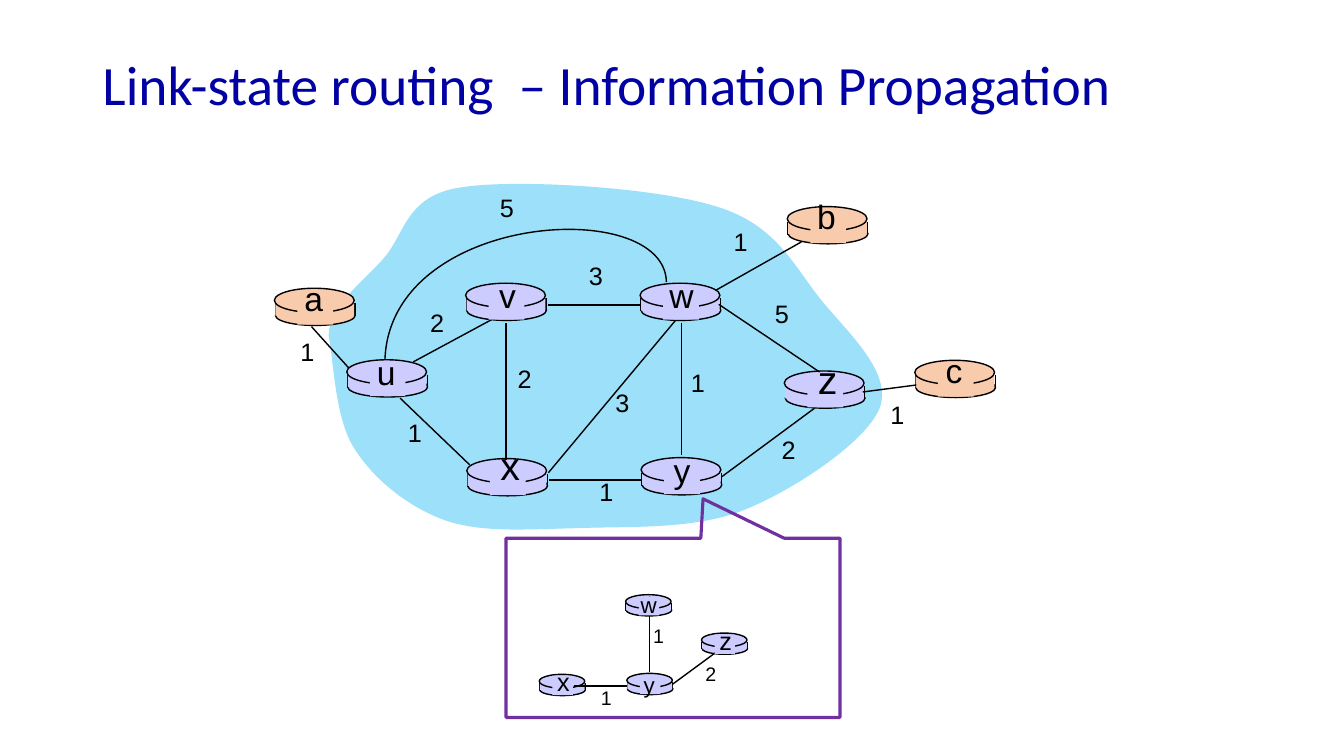
from pptx import Presentation
from pptx.dml.color import RGBColor
from pptx.enum.shapes import MSO_CONNECTOR as CONN, MSO_SHAPE as SHAPE
from pptx.enum.text import MSO_ANCHOR as ANCHOR, MSO_AUTO_SIZE as AUTO, PP_ALIGN as ALIGN
from pptx.oxml.ns import qn
from pptx.util import Pt
from lxml import etree

NAVY = RGBColor(0x00, 0x00, 0xA3)
BLACK = RGBColor(0x00, 0x00, 0x00)
SKY = RGBColor(0x9C, 0xE0, 0xFA)
LILAC = RGBColor(0xCC, 0xCC, 0xFF)
PEACH = RGBColor(0xF8, 0xCB, 0xAD)
PURPLE = RGBColor(0x70, 0x30, 0xA0)


def style(sp, fill=None, line=None, width=1):
    sp.shadow.inherit = False
    if fill is None:
        sp.fill.background()
    else:
        sp.fill.solid()
        sp.fill.fore_color.rgb = fill
    if line is None:
        sp.line.fill.background()
    else:
        sp.line.color.rgb = line
        sp.line.width = Pt(width)


def add_preset(s, kind, x, y, w, h, fill=None, line=None, width=1):
    sp = s.shapes.add_shape(kind, Pt(x), Pt(y), Pt(w), Pt(h))
    style(sp, fill, line, width)
    return sp


def add_link(s, x1, y1, x2, y2):
    link = s.shapes.add_connector(CONN.STRAIGHT, Pt(x1), Pt(y1), Pt(x2), Pt(y2))
    link.line.color.rgb = BLACK
    link.line.width = Pt(1)
    etree.SubElement(link._element.spPr, qn("a:effectLst"))


def add_run(p, text, size, font, color):
    r = p.add_run()
    r.text = text
    r.font.size = Pt(size)
    r.font.name = font
    r.font.color.rgb = color


def add_label(s, text, x, y, w, h, size):
    tf = s.shapes.add_textbox(Pt(x), Pt(y), Pt(w), Pt(h)).text_frame
    tf.word_wrap = False
    p = tf.paragraphs[0]
    p.alignment = ALIGN.CENTER
    add_run(p, text, size, "Arial", BLACK)


def add_curve(s, left, top, points, closed, fill=None, line=None):
    corners = [(Pt(left + x), Pt(top + y)) for x, y in points]
    fb = s.shapes.build_freeform(*corners[0])
    fb.add_line_segments(corners[1:], close=closed)
    sp = fb.convert_to_shape()
    style(sp, fill, line)
    sides = list(sp._element.iter(qn("a:lnTo")))
    for i in range(0, len(sides), 3):
        bend = etree.Element(qn("a:cubicBezTo"))
        sides[i].addprevious(bend)
        for side in sides[i:i + 3]:
            bend.append(side[0])
            side.getparent().remove(side)


def add_router(s, x, y, k, fill):
    add_preset(s, SHAPE.OVAL, x + 0.7 * k, y + 12.2 * k, 57 * k, 14.4 * k, fill, BLACK)
    for side in (0.7, 57.5):
        add_link(s, x + side * k, y + 10.8 * k, x + side * k, y + 20 * k)
    add_preset(s, SHAPE.RECTANGLE, x + 0.7 * k, y + 10.8 * k, 56.2 * k, 8.8 * k, fill)
    add_preset(s, SHAPE.OVAL, x, y, 57 * k, 17.3 * k, fill, BLACK)


def add_router_name(s, name, x, y, k, fill, size, dx, dy):
    add_preset(s, SHAPE.RECTANGLE, x + 16.5 * k, y + 2 * k, 25.5 * k, 24 * k, fill)
    w = size * 0.55 + (17.5 if name == "w" else 13.5)
    add_label(s, name, x + dx - w / 2, y + dy, w, size * 1.25 + 6.5, size)


def add_network(s, left, top, k, routers, links, weights, weight_box):
    for name, x, y, fill, size, dx, dy in routers:
        add_router(s, left + x, top + y, k, fill)
    for x1, y1, x2, y2 in links:
        add_link(s, left + x1, top + y1, left + x2, top + y2)
    for name, x, y, fill, size, dx, dy in routers:
        add_router_name(s, name, left + x, top + y, k, fill, size, dx, dy)
    for text, x, y in weights:
        add_label(s, text, left + x, top + y, *weight_box)


def add_title(s, left, top, width, height):
    title = s.shapes.title
    title.left, title.top, title.width, title.height = Pt(left), Pt(top), Pt(width), Pt(height)
    tf = title.text_frame
    tf.auto_size = AUTO.NONE
    tf.word_wrap = True
    tf.vertical_anchor = ANCHOR.MIDDLE
    p = tf.paragraphs[0]
    p.alignment = ALIGN.LEFT
    p.line_spacing = 0.9
    add_run(p, "Link-state routing  – Information Propagation", 39.6, "Calibri", NAVY)


def add_cloud_network(s, left, top):
    add_curve(s, left, top, [
        (38.7, 112.8),
        (39.4, 91.2), (61.8, 76), (77.6, 58),
        (93.4, 40.8), (93.4, 12.7), (133, 6.9),
        (172.6, 0.4), (273.4, 6.9), (315.9, 20.6),
        (359.1, 33.6), (371.4, 63.8), (390.8, 87.6),
        (410.2, 111.3), (441.2, 138.7), (432.6, 163.9),
        (423.2, 188.4), (371.4, 222.9), (335.4, 237.3),
        (299.4, 251.7), (251.8, 248.8), (216.6, 250.3),
        (180.6, 251), (148.2, 253.9), (121.5, 244.5),
        (95.6, 235.2), (70.4, 215), (56.7, 192.7),
        (43, 171), (42.3, 129.3), (38.7, 112.8),
    ], True, fill=SKY)
    add_curve(s, left, top, [(280, 74.6), (279.2, 12.7), (83.4, 24.2), (79, 129.3)],
              False, line=BLACK)
    routers = [
        ("u", 51.7, 130, LILAC, 24, 27.7, -9.4),
        ("x", 137.4, 200.6, LILAC, 28, 31, -15.8),
        ("v", 136.6, 75.3, LILAC, 24, 29.9, -9.6),
        ("w", 261.2, 75.3, LILAC, 24, 29.2, -9.6),
        ("y", 261.9, 199.9, LILAC, 24, 29.2, -9.4),
        ("z", 364.2, 138, LILAC, 28, 31, -15),
        ("a", 0, 78.9, PEACH, 24, 27.7, -11),
        ("c", 457.4, 130.4, PEACH, 24, 28, -11.2),
        ("b", 366.3, 20.6, PEACH, 24, 27.7, -11),
    ]
    links = [
        (99.2, 131.5, 155.4, 101.2), (290.7, 103.4, 290.7, 197.7),
        (165.4, 104, 165.4, 201.3), (195.7, 210.7, 286.4, 102),
        (319.5, 213.6, 385.8, 164.6), (196.4, 215.9, 262.6, 215.9),
        (139.5, 205, 89.8, 157.4), (195.7, 90.9, 261.9, 90.9),
        (389.4, 138.7, 317.4, 90.4), (376.4, 45.8, 315.2, 80.4),
        (458.6, 148, 420.3, 153), (26.5, 106.3, 53.1, 135.8),
    ]
    weights = [
        ("2", 98.7, 89), ("2", 161.3, 128.8), ("1", 82.8, 167.5), ("3", 231, 146),
        ("1", 219.6, 210), ("1", 285, 132), ("2", 349.8, 179.7), ("5", 345, 82.5),
        ("3", 212.2, 55.2), ("5", 148.5, 7), ("1", 6, 110), ("1", 315.5, 31.4),
        ("1", 427.5, 154.5),
    ]
    add_network(s, left, top, 1, routers, links, weights, (35, 42, 18))


def add_callout(s, left, top, width, height):
    callout = add_preset(s, SHAPE.RECTANGULAR_CALLOUT, left, top, width, height,
                         line=PURPLE, width=2.25)
    callout.adjustments[0] = 0.09
    callout.adjustments[1] = -0.72
    routers = [
        ("x", 23.7, 97.2, LILAC, 18, 17.3, -9.4),
        ("w", 85.4, 40.3, LILAC, 16, 16.5, -6),
        ("y", 86.3, 96.5, LILAC, 16, 16, -5),
        ("z", 139.6, 67.7, LILAC, 18, 17.3, -8.9),
    ]
    links = [(102.4, 41, 102.4, 95.7), (118.7, 104.4, 156.9, 76.3),
             (86.3, 105.6, 48.2, 105.6)]
    weights = [("1", 60.6, 102.2), ("1", 97.9, 57.6), ("2", 135.3, 85)]
    add_network(s, left, top, 0.57, routers, links, weights, (22, 24.5, 14))


def main():
    prs = Presentation()
    prs.slide_width, prs.slide_height = Pt(960), Pt(540)
    s = prs.slides.add_slide(prs.slide_layouts[5])
    add_title(s, 66, 27, 775, 70.5)
    add_cloud_network(s, 196, 127)
    add_callout(s, 361.5, 384.5, 238.5, 128)
    prs.save("out.pptx")


if __name__ == "__main__":
    main()
